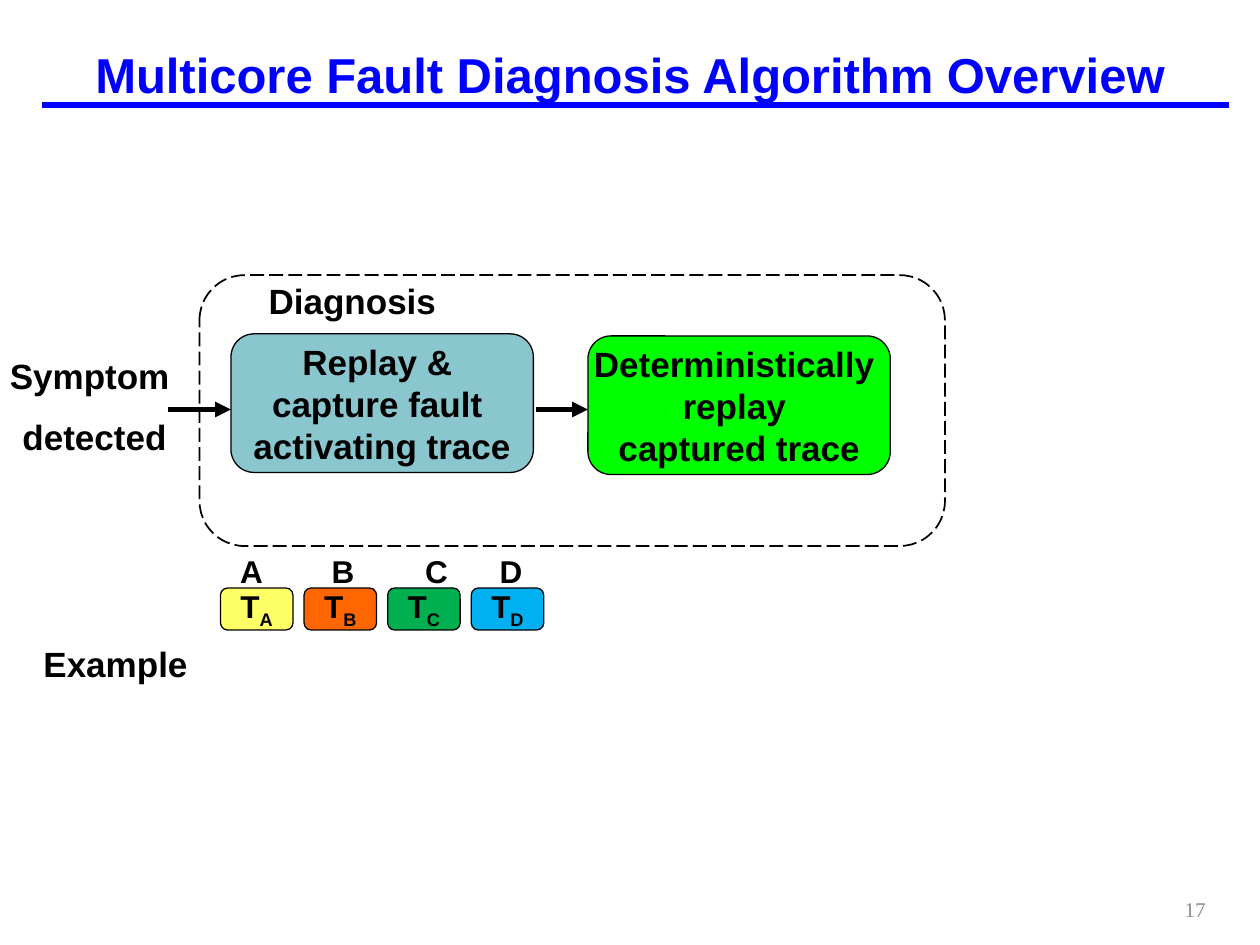
from dataclasses import dataclass

import pptx
import pptx.dml.color
import pptx.enum.dml
import pptx.enum.shapes
import pptx.enum.text
import pptx.oxml
import pptx.oxml.ns
import pptx.util

RGBColor = pptx.dml.color.RGBColor
Align = pptx.enum.text.PP_ALIGN
Anchor = pptx.enum.text.MSO_ANCHOR
Shape = pptx.enum.shapes.MSO_SHAPE
Pt = pptx.util.Pt

BLACK = RGBColor(0x00, 0x00, 0x00)
BLUE = RGBColor(0x00, 0x00, 0xFF)
GRAY = RGBColor(0x8C, 0x8C, 0x8C)
TEAL = RGBColor(0x8A, 0xC6, 0xCD)
GREEN = RGBColor(0x00, 0xFF, 0x00)
YELLOW = RGBColor(0xFF, 0xFF, 0x66)
ORANGE = RGBColor(0xFF, 0x66, 0x00)
LEAF = RGBColor(0x00, 0xB0, 0x50)
SKY = RGBColor(0x00, 0xB0, 0xF0)

COLUMNS, ROWS = 120, 90
BODY = {"name": "Arial", "size": Pt(20), "bold": True}
SMALL = BODY | {"size": Pt(18)}
HEADING = BODY | {"size": Pt(28)}
FOOTER = {"name": "Times New Roman", "size": Pt(12), "bold": False}
PADDED = {"margin_left": Pt(9), "margin_right": Pt(9),
          "margin_top": Pt(4.5), "margin_bottom": Pt(4.5)}
UNWRAPPED = {"word_wrap": False}


@dataclass(frozen=True)
class Cell:
    column: float
    row: float
    columns: float
    rows: float


@dataclass(frozen=True)
class Step:
    lines: tuple[str, ...]
    cell: Cell
    fill: RGBColor


@dataclass(frozen=True)
class Trace:
    core: str
    fill: RGBColor


@dataclass(frozen=True)
class Caption:
    lines: tuple[str, ...]
    cell: Cell
    font: dict
    frame: dict
    alignment: Align = Align.CENTER
    color: RGBColor = BLACK


@dataclass(frozen=True)
class Link:
    start: float
    end: float
    row: float
    color: RGBColor = BLACK
    arrow: bool = True


STEPS = (
    Step(("Replay & ", "capture fault ", "activating trace"),
         Cell(22, 31.8, 28.8, 13.2), TEAL),
    Step(("Deterministically ", "replay ", "captured trace"),
         Cell(56, 32, 28.8, 13.2), GREEN),
)
TRACES = (Trace("A", YELLOW), Trace("B", ORANGE), Trace("C", LEAF), Trace("D", SKY))
TRACE_ROW = Cell(21, 56, 6.9, 4)
TRACE_PITCH = 7.96
CORE_TABS = (8.7, 17.6, 24.7)
CAPTIONS = (
    Caption(("Example",), Cell(-3, 60.4, 28, 5.6), BODY, PADDED),
    Caption(("Symptom ", "detected"), Cell(-5, 33, 28, 11.6), BODY, PADDED),
    Caption(("Diagnosis",), Cell(24.4, 26, 26.3, 4), BODY, {}, Align.LEFT),
    Caption(("17",), Cell(88, 84.2, 28, 4.8), FOOTER,
            {"vertical_anchor": Anchor.MIDDLE}, Align.RIGHT, GRAY),
)
LINKS = (
    Link(4, 117, 10, BLUE, False),
    Link(16, 22, 39),
    Link(51, 56, 39),
)

deck = pptx.Presentation()
deck.slide_width, deck.slide_height = pptx.util.Inches(10), pptx.util.Inches(7.5)
slide = deck.slides.add_slide(deck.slide_layouts[5])


def across(columns: float) -> int:
    return round(deck.slide_width * columns / COLUMNS)


def down(rows: float) -> int:
    return round(deck.slide_height * rows / ROWS)


def box(cell: Cell) -> tuple[int, int, int, int]:
    return across(cell.column), down(cell.row), across(cell.columns), down(cell.rows)


def apply(target, values: dict) -> None:
    for key, value in values.items():
        setattr(target, key, value)


def add_run(paragraph, text: str, font: dict, color: RGBColor = BLACK):
    run = paragraph.add_run()
    run.text = text
    apply(run.font, font)
    run.font.color.rgb = color
    return run


def write(frame, lines: tuple[str, ...], font: dict, alignment: Align,
          color: RGBColor = BLACK, gap: float = 0) -> None:
    for index, line in enumerate(lines):
        paragraph = frame.add_paragraph() if index else frame.paragraphs[0]
        paragraph.alignment = alignment
        paragraph.space_before = Pt(gap if index else 0)
        add_run(paragraph, line, font, color)


def add_panel(kind: Shape, cell: Cell, fill: RGBColor | None, width: float = 0.75):
    panel = slide.shapes.add_shape(kind, *box(cell))
    panel.shadow.inherit = False
    if fill is None:
        panel.fill.background()
    else:
        panel.fill.solid()
        panel.fill.fore_color.rgb = fill
    panel.line.color.rgb = BLACK
    panel.line.width = Pt(width)
    panel.text_frame.vertical_anchor = Anchor.MIDDLE
    return panel


def add_step(step: Step) -> None:
    panel = add_panel(Shape.FLOWCHART_ALTERNATE_PROCESS, step.cell, step.fill)
    apply(panel.text_frame, UNWRAPPED)
    write(panel.text_frame, step.lines, BODY, Align.CENTER)


def add_trace(index: int, trace: Trace) -> None:
    cell = Cell(TRACE_ROW.column + index * TRACE_PITCH, TRACE_ROW.row,
                TRACE_ROW.columns, TRACE_ROW.rows)
    panel = add_panel(Shape.ROUNDED_RECTANGLE, cell, trace.fill)
    paragraph = panel.text_frame.paragraphs[0]
    paragraph.alignment = Align.CENTER
    add_run(paragraph, "T", SMALL)
    subscript = add_run(paragraph, trace.core, SMALL)
    subscript.font._element.set("baseline", "-25000")


def add_caption(caption: Caption):
    label = slide.shapes.add_textbox(*box(caption.cell))
    apply(label.text_frame, {"word_wrap": True} | caption.frame)
    write(label.text_frame, caption.lines, caption.font, caption.alignment,
          caption.color, gap=11)
    return label


def add_core_names() -> None:
    names = "\t".join(trace.core for trace in TRACES)
    label = add_caption(Caption((names,), Cell(21.7, 52, 34, 4.8), SMALL, {}, Align.LEFT))
    properties = label.text_frame.paragraphs[0]._p.get_or_add_pPr()
    stops = pptx.oxml.ns.qn("a:tabLst")
    tabs = properties.makeelement(stops, {})
    properties.append(tabs)
    for stop in CORE_TABS:
        tabs.append(tabs.makeelement(pptx.oxml.ns.qn("a:tab"),
                                     {"pos": str(across(stop)), "algn": "l"}))


def add_link(link: Link) -> None:
    line = slide.shapes.add_connector(
        pptx.enum.shapes.MSO_CONNECTOR.STRAIGHT,
        across(link.start), down(link.row), across(link.end), down(link.row))
    line.line.color.rgb = link.color
    line.line.width = Pt(3)
    if link.arrow:
        outline = line.line._get_or_add_ln()
        outline.append(outline.makeelement(pptx.oxml.ns.qn("a:tailEnd"), {"type": "triangle"}))
    properties = line._element.spPr
    properties.append(properties.makeelement(pptx.oxml.ns.qn("a:effectLst"), {}))


title = slide.shapes.title
apply(title, dict(zip(("left", "top", "width", "height"), box(Cell(0, 2, 120, 10)))))
title.text_frame.vertical_anchor = Anchor.MIDDLE
write(title.text_frame, ("Multicore Fault Diagnosis Algorithm Overview",),
      HEADING, Align.CENTER, BLUE)

diagnosis = add_panel(Shape.ROUNDED_RECTANGLE, Cell(19, 26.2, 71, 25.8), None, 1)
diagnosis.line.dash_style = pptx.enum.dml.MSO_LINE.LONG_DASH
for step in STEPS:
    add_step(step)
for index, trace in enumerate(TRACES):
    add_trace(index, trace)
add_core_names()
for caption in CAPTIONS:
    add_caption(caption)
for link in LINKS:
    add_link(link)

deck.save("out.pptx")
